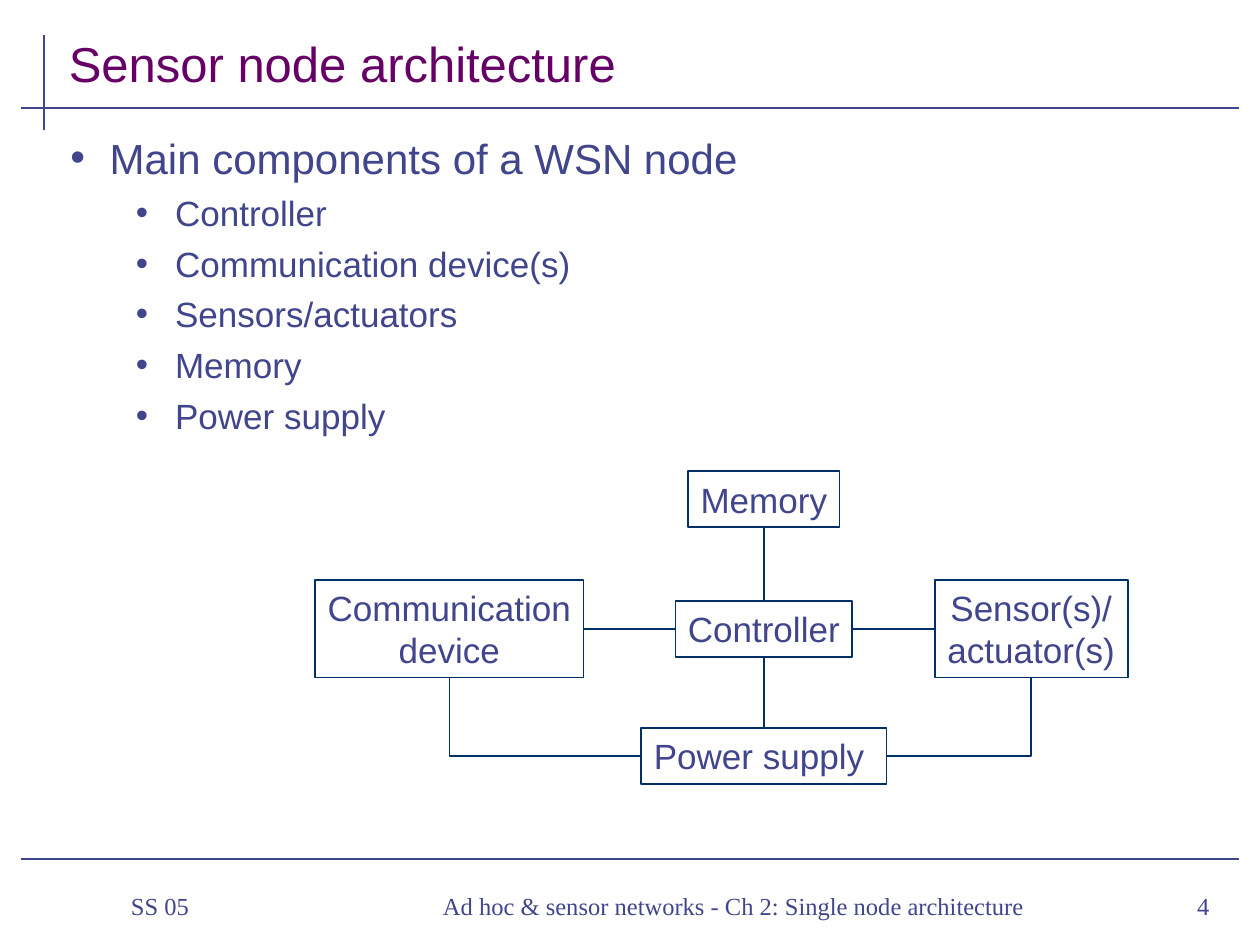
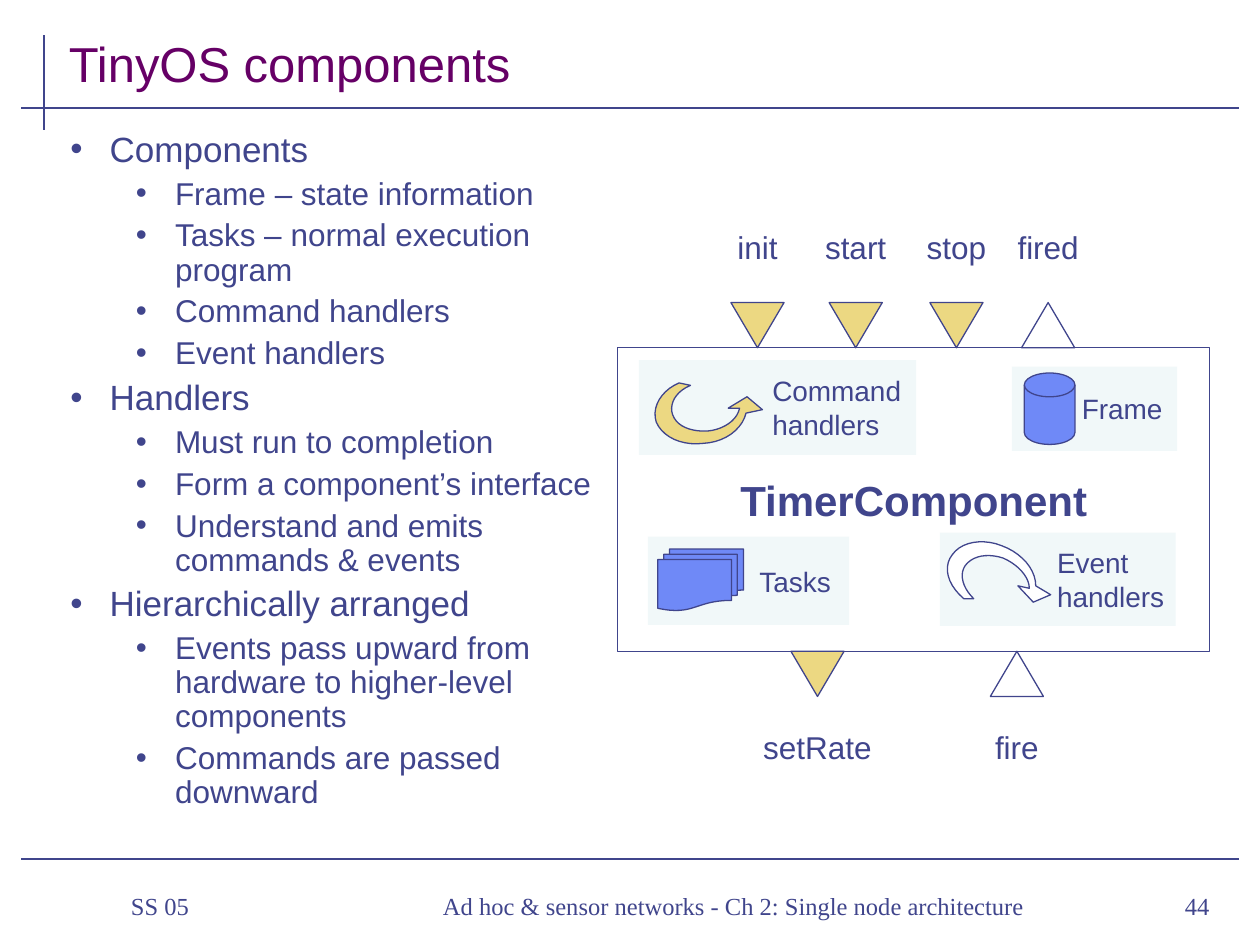
from dataclasses import dataclass

from lxml.etree import SubElement
from pptx import Presentation
from pptx.dml.color import RGBColor
from pptx.enum.shapes import MSO_CONNECTOR, MSO_SHAPE
from pptx.enum.text import MSO_ANCHOR, PP_ALIGN
from pptx.oxml.ns import qn
from pptx.util import Cm, Pt


@dataclass(frozen=True)
class Theme:
    ink: str = "40458C"
    title: str = "660066"
    node_line: str = "003065"
    panel: str = "F1F8F9"
    command: str = "ECD882"
    event: str = "FFFFFF"
    storage: str = "6F89F7"
    font: str = "Arial"
    footer_font: str = "Times New Roman"
    title_size: int = 28
    heading_size: int = 24
    node_size: int = 20
    port_size: int = 18
    panel_size: int = 16
    footer_size: int = 14
    rule_width: float = 1.5
    node_width: float = 1
    outline_width: float = 0.75


THEME = Theme()

RULES = [
    (0.89, 0.71, 0.89, 2.62),
    (0.43, 2.18, 24.97, 2.18),
    (0.43, 17.32, 24.97, 17.32),
]
TITLE_BOX = (1.14, 0.41, 23.7, 1.57)
FOOTER_TOP, FOOTER_HEIGHT = 17.6, 1.32
FOOTER_INDENT = 0.86

ARCHITECTURE_BULLETS = [
    ("Main components of a WSN node", [
        "Controller",
        "Communication device(s)",
        "Sensors/actuators",
        "Memory",
        "Power supply",
    ]),
]
NODES = {
    "memory": ("Memory", 15.4, 10.06, 3.05, 1.12),
    "controller": ("Controller", 15.4, 12.68, 3.56, 1.12),
    "sensors": ("Sensor(s)/\nactuator(s)", 20.79, 12.68, 3.89, 1.96),
    "communication": ("Communication\ndevice", 9.06, 12.68, 5.41, 1.96),
    "power": ("Power supply ", 15.4, 15.24, 4.95, 1.12),
}
TOP, LEFT, BOTTOM, RIGHT = range(4)
LINKS = [
    ("memory", BOTTOM, "controller", TOP),
    ("controller", BOTTOM, "power", TOP),
    ("controller", RIGHT, "sensors", LEFT),
    ("controller", LEFT, "communication", RIGHT),
    ("power", LEFT, "communication", BOTTOM),
    ("power", RIGHT, "sensors", BOTTOM),
]

COMPONENT_BULLETS = [
    ("Components", [
        "Frame – state information",
        "Tasks – normal execution program",
        "Command handlers",
        "Event handlers",
    ]),
    ("Handlers", [
        "Must run to completion",
        "Form a component’s interface",
        "Understand and emits commands & events",
    ]),
    ("Hierarchically arranged", [
        "Events pass upward from hardware to higher-level components",
        "Commands are passed downward",
    ]),
]
COMPONENT_BOX = (12.45, 7.01, 11.94, 6.12)
PORT_WIDTH, PORT_HEIGHT = 1.07, 0.91
PORT_LABEL_WIDTH, PORT_LABEL_HEIGHT = 3, 1.02
PORT_ROWS = [
    (6.1, 4.47, [("init", 15.27, True), ("start", 17.25, True),
                 ("stop", 19.28, True), ("fired", 21.13, False)]),
    (13.13, 14.55, [("setRate", 16.48, True), ("fire", 20.5, False)]),
]
PANELS = [
    ("Tasks", (13.06, 10.82, 4.06, 1.78), 15.06),
    ("Event\nhandlers", (18.95, 10.74, 4.75, 1.88), 21.06),
    ("Frame", (20.4, 7.39, 3.33, 1.7), 21.56),
    ("Command\nhandlers", (12.88, 7.26, 5.59, 1.91), 15.32),
]
STORAGE_ICONS = [
    (MSO_SHAPE.FLOWCHART_MAGNETIC_DISK, (20.65, 7.52, 1.02, 1.44)),
    (MSO_SHAPE.FLOWCHART_MULTIDOCUMENT, (13.26, 11.07, 1.73, 1.24)),
]
CURVED_ARROWS = [
    (THEME.event, (20.75, 11.86), [
        [(20.75, 11.63), (20.52, 11.38), (20.22, 11.25)],
        [(19.91, 11.15), (19.61, 11.2), (19.46, 11.4)],
        [(19.33, 11.58), (19.41, 11.86), (19.63, 12.07)],
        [(19.43, 12.07)],
        [(19.1, 11.79), (19, 11.43), (19.2, 11.18)],
        [(19.38, 10.92), (19.81, 10.85), (20.19, 11)],
        [(20.6, 11.15), (20.88, 11.48), (20.88, 11.81)],
        [(21.18, 11.99)], [(20.83, 12.14)], [(20.52, 11.81)],
    ]),
    (THEME.command, (14.91, 8.23), [
        [(14.86, 8.48), (14.58, 8.66), (14.27, 8.69)],
        [(13.92, 8.71), (13.64, 8.59), (13.56, 8.36)],
        [(13.49, 8.15), (13.61, 7.9), (13.92, 7.77)],
        [(13.69, 7.72)],
        [(13.34, 7.87), (13.13, 8.2), (13.23, 8.51)],
        [(13.36, 8.81), (13.74, 8.99), (14.17, 8.94)],
        [(14.61, 8.92), (14.96, 8.66), (15.04, 8.33)],
        [(15.37, 8.26)], [(15.06, 8)], [(14.68, 8.23)],
    ]),
]


def lengths(values):
    return [Cm(value) for value in values]


def color(code):
    return RGBColor.from_string(code)


def style_font(paragraph, size, code=THEME.ink, name=THEME.font, bold=False):
    font = paragraph.font
    font.size, font.name, font.bold = Pt(size), name, bold
    font.color.rgb = color(code)


def write(shape, text, size, align=PP_ALIGN.LEFT, anchor=MSO_ANCHOR.MIDDLE, wrap=True, **font):
    frame = shape.text_frame
    frame.word_wrap = wrap
    frame.vertical_anchor = anchor
    paragraph = frame.paragraphs[0]
    paragraph.text = text
    paragraph.alignment = align
    style_font(paragraph, size, **font)


def add_text(slide, box, text, size, **options):
    shape = slide.shapes.add_textbox(*lengths(box))
    write(shape, text, size, **options)
    return shape


def paint(shape, fill=None, line=None, width=THEME.outline_width):
    shape.shadow.inherit = False
    if fill:
        shape.fill.solid()
        shape.fill.fore_color.rgb = color(fill)
    else:
        shape.fill.background()
    if line:
        shape.line.color.rgb = color(line)
        shape.line.width = Pt(width)
    else:
        shape.line.fill.background()


def add_shape(slide, kind, box, **look):
    shape = slide.shapes.add_shape(kind, *lengths(box))
    paint(shape, **look)
    return shape


def add_line(slide, ends, code, width, kind=MSO_CONNECTOR.STRAIGHT):
    connector = slide.shapes.add_connector(kind, *lengths(ends))
    connector.line.color.rgb = color(code)
    connector.line.width = Pt(width)
    SubElement(connector._element.spPr, qn("a:effectLst"))
    return connector


def add_bullets(slide, box, groups, heading_size, item_size, spacing):
    frame = slide.shapes.add_textbox(*lengths(box)).text_frame
    frame.word_wrap = True
    rows = [row for heading, items in groups
            for row in [(heading, 0)] + [(item, 1) for item in items]]
    for index, (text, level) in enumerate(rows):
        paragraph = frame.paragraphs[0] if index == 0 else frame.add_paragraph()
        size = (heading_size, item_size)[level]
        paragraph.text = text
        paragraph.level = level
        paragraph.line_spacing = spacing
        paragraph.space_before = Pt(size / 4 if index else 0)
        properties = paragraph._p.get_or_add_pPr()
        properties.set("marL", str(Cm((0.79, 2.11)[level])))
        properties.set("indent", str(Cm(-0.79)))
        bullet_color = SubElement(properties, qn("a:buClr"))
        SubElement(bullet_color, qn("a:srgbClr")).set("val", THEME.ink)
        SubElement(properties, qn("a:buFont")).set("typeface", THEME.font)
        SubElement(properties, qn("a:buChar")).set("char", "•")
        style_font(paragraph, size)


def add_base_slide(presentation, title, number):
    slide = presentation.slides.add_slide(presentation.slide_layouts[6])
    for rule in RULES:
        add_line(slide, rule, THEME.ink, THEME.rule_width)
    add_text(slide, TITLE_BOX, title, THEME.title_size,
             anchor=MSO_ANCHOR.BOTTOM, code=THEME.title)
    footers = [
        ("SS 05", 1.78, 4.42, PP_ALIGN.LEFT),
        ("Ad hoc & sensor networks - Ch 2: Single node architecture", 6.6, 15.77, PP_ALIGN.CENTER),
        (str(number), 22.78, 1.85, PP_ALIGN.RIGHT),
    ]
    for text, left, width, align in footers:
        footer = add_text(slide, (left, FOOTER_TOP, width, FOOTER_HEIGHT), text,
                          THEME.footer_size, align=align, name=THEME.footer_font)
        footer.text_frame.margin_left = Cm(FOOTER_INDENT)
    return slide


def add_node(slide, text, center_x, center_y, width, height):
    box = (center_x - width / 2, center_y - height / 2, width, height)
    node = add_shape(slide, MSO_SHAPE.RECTANGLE, box,
                     line=THEME.node_line, width=THEME.node_width)
    write(node, text, THEME.node_size, align=PP_ALIGN.CENTER, wrap=False)
    return node


def build_architecture(presentation):
    slide = add_base_slide(presentation, "Sensor node architecture", 4)
    add_bullets(slide, (1.17, 2.54, 23.57, 7.21), ARCHITECTURE_BULLETS,
                THEME.heading_size, THEME.node_size, 1.0)
    nodes = {key: add_node(slide, *node) for key, node in NODES.items()}
    for start, start_side, end, end_side in LINKS:
        straight = abs(start_side - end_side) == 2
        kind = MSO_CONNECTOR.STRAIGHT if straight else MSO_CONNECTOR.ELBOW
        link = add_line(slide, (0, 0, 0, 0), THEME.node_line, THEME.node_width, kind)
        link.begin_connect(nodes[start], start_side)
        link.end_connect(nodes[end], end_side)
        if not straight:
            link._element.spPr.find(qn("a:prstGeom")).set("prst", "bentConnector2")


def curve_points(start, controls, steps=10):
    points = [start, *controls]
    if len(points) == 2:
        return controls
    return [
        tuple(sum(weight * value for weight, value in zip(
            ((1 - t) ** 3, 3 * t * (1 - t) ** 2, 3 * t * t * (1 - t), t ** 3), axis))
            for axis in zip(*points))
        for t in (step / steps for step in range(1, steps + 1))
    ]


def add_curved_arrow(slide, fill, start, segments):
    outline, current = [], start
    for controls in segments:
        outline += curve_points(current, controls)
        current = controls[-1]
    builder = slide.shapes.build_freeform(*lengths(start))
    builder.add_line_segments([lengths(point) for point in outline], close=True)
    paint(builder.convert_to_shape(), fill=fill, line=THEME.ink)


def add_port(slide, name, center, is_command, top, label_top):
    box = (center - PORT_WIDTH / 2, top, PORT_WIDTH, PORT_HEIGHT)
    triangle = add_shape(slide, MSO_SHAPE.ISOSCELES_TRIANGLE, box,
                         fill=THEME.command if is_command else None, line=THEME.ink)
    triangle.rotation = 180 if is_command else 0
    label_box = (center - PORT_LABEL_WIDTH / 2, label_top, PORT_LABEL_WIDTH, PORT_LABEL_HEIGHT)
    add_text(slide, label_box, name, THEME.port_size, align=PP_ALIGN.CENTER)


def build_components(presentation):
    slide = add_base_slide(presentation, "TinyOS components", 44)
    add_bullets(slide, (1.17, 2.54, 11.23, 14.43), COMPONENT_BULLETS,
                THEME.node_size, THEME.port_size, 0.9)
    for _, box, _ in PANELS:
        add_shape(slide, MSO_SHAPE.RECTANGLE, box, fill=THEME.panel)
    component = add_shape(slide, MSO_SHAPE.RECTANGLE, COMPONENT_BOX, line=THEME.ink)
    write(component, "TimerComponent", THEME.heading_size, align=PP_ALIGN.CENTER, bold=True)
    for top, label_top, ports in PORT_ROWS:
        for name, center, is_command in ports:
            add_port(slide, name, center, is_command, top, label_top)
    for kind, box in STORAGE_ICONS:
        add_shape(slide, kind, box, fill=THEME.storage, line=THEME.ink)
    for arrow in CURVED_ARROWS:
        add_curved_arrow(slide, *arrow)
    for text, (left, top, width, height), text_left in PANELS:
        label = add_text(slide, (text_left, top, left + width - text_left, height),
                         text, THEME.panel_size)
        label.text_frame.margin_right = 0


def main():
    presentation = Presentation()
    presentation.slide_width, presentation.slide_height = Cm(25.4), Cm(19.05)
    build_architecture(presentation)
    build_components(presentation)
    presentation.save("out.pptx")


if __name__ == "__main__":
    main()
